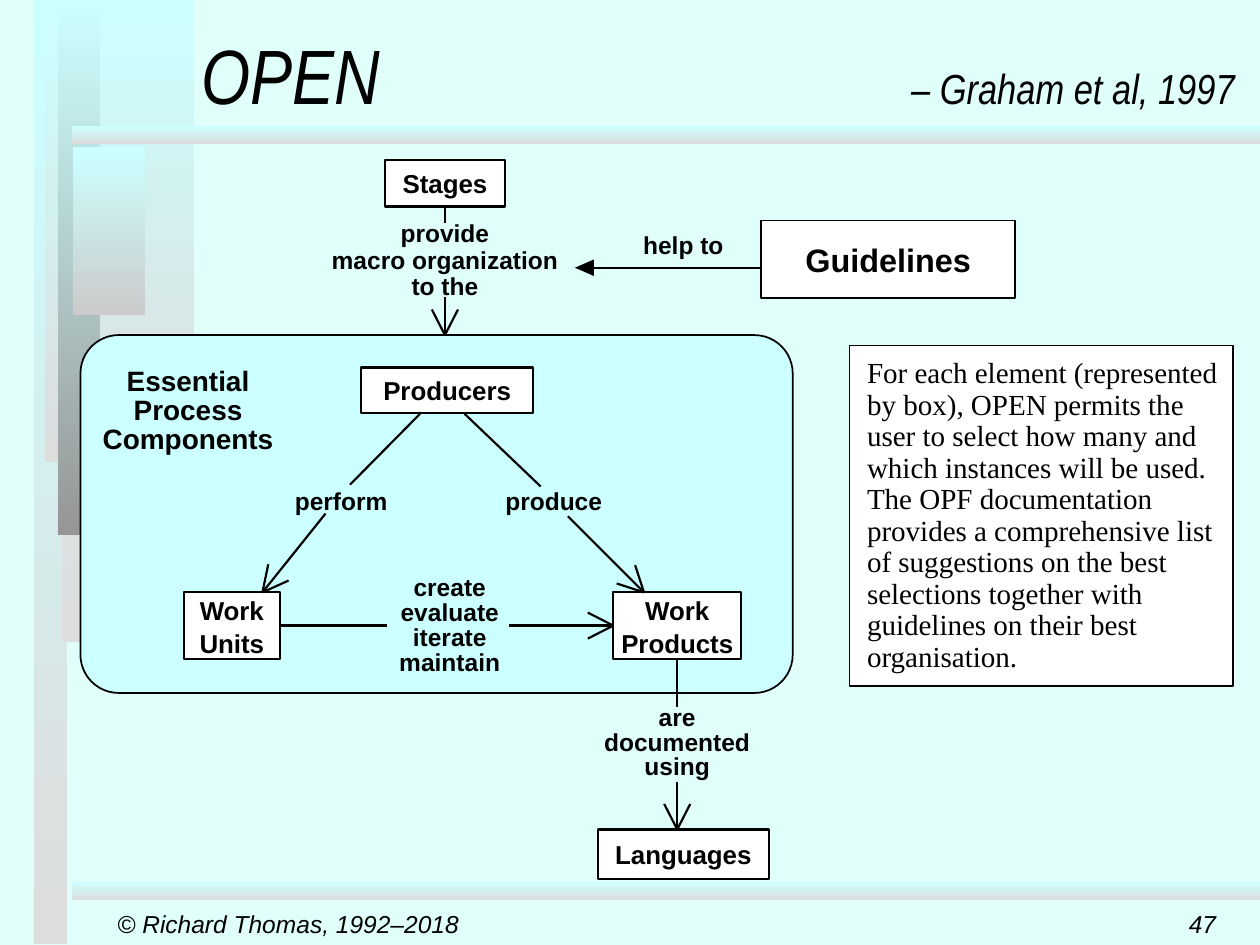
from math import atan2, cos, radians, sin

from lxml.etree import SubElement
from pptx import Presentation
from pptx.dml.color import RGBColor
from pptx.enum.shapes import MSO_CONNECTOR, MSO_SHAPE
from pptx.enum.text import MSO_ANCHOR, MSO_AUTO_SIZE, PP_ALIGN
from pptx.oxml.ns import qn
from pptx.util import Pt

COLORS = {"background": "E1FFFA", "aqua": "CCFFFF", "silver": "DDDDDD",
          "gray": "969696", "steel": "CBCBCB", "white": "FFFFFF", "black": "000000"}
BOX_FONT = {"name": "Arial", "size": Pt(14.8), "bold": True}
LABEL_FONT = {"name": "Arial", "size": Pt(14), "bold": True}
HEADING_FONT = {"name": "Arial", "size": Pt(16), "bold": True}
GUIDELINES_FONT = {"name": "Arial", "size": Pt(18.5), "bold": True}
NOTE_FONT = {"name": "Times New Roman", "size": Pt(16.6), "bold": False}
FOOTER_FONT = {"name": "Arial", "size": Pt(14), "italic": True}
LINE_WIDTH = 1.25
BARB_LENGTH, BARB_ANGLE = 16.4, radians(27)


def color(name):
    """Return the named colour."""
    return RGBColor.from_string(COLORS[name])


def set_font(font, values):
    """Apply a dict of font values in black."""
    for name, value in values.items():
        setattr(font, name, value)
    font.color.rgb = color("black")


def set_frame(frame, margins, anchor):
    """Fix margins (left, top, right, bottom), wrapping and anchor of a text frame."""
    for side, margin in zip(("left", "top", "right", "bottom"), margins):
        setattr(frame, f"margin_{side}", Pt(margin))
    frame.word_wrap = True
    frame.auto_size = MSO_AUTO_SIZE.NONE
    frame.vertical_anchor = anchor


def write(shape, text, font, align=PP_ALIGN.CENTER, spacing=None,
          margins=(0, 0, 0, 0), anchor=MSO_ANCHOR.MIDDLE):
    """Write one paragraph into a shape."""
    frame = shape.text_frame
    set_frame(frame, margins, anchor)
    frame.text = text
    paragraph = frame.paragraphs[0]
    paragraph.alignment = align
    if spacing:
        paragraph.line_spacing = Pt(spacing)
    for run in paragraph.runs:
        set_font(run.font, font)


def add_box(slide, box, fill="white", width=LINE_WIDTH, kind=MSO_SHAPE.RECTANGLE):
    """Add an outlined shape."""
    shape = slide.shapes.add_shape(kind, *map(Pt, box))
    shape.shadow.inherit = False
    shape.fill.solid()
    shape.fill.fore_color.rgb = color(fill)
    shape.line.color.rgb = color("black")
    shape.line.width = Pt(width)
    return shape


def add_named_box(slide, box, text, font=BOX_FONT, width=LINE_WIDTH):
    """Add a white box holding its name."""
    shape = add_box(slide, box, width=width)
    write(shape, text, font, spacing=18.7 if "\v" in text else None)
    return shape


def add_label(slide, center, top, width, text, font=LABEL_FONT, spacing=14.4):
    """Add a centred label whose first line starts at top."""
    offset = font["size"].pt * 1.15 - spacing
    height = spacing * (text.count("\v") + 1)
    label = slide.shapes.add_textbox(Pt(center - width / 2), Pt(top + offset),
                                     Pt(width), Pt(height))
    write(label, text, font, spacing=spacing, anchor=MSO_ANCHOR.TOP)


def add_line(slide, start, end, width=LINE_WIDTH):
    """Add a straight black line."""
    line = slide.shapes.add_connector(MSO_CONNECTOR.STRAIGHT, *map(Pt, (*start, *end)))
    line.line.color.rgb = color("black")
    line.line.width = Pt(width)
    SubElement(line._element.spPr, qn("a:effectLst"))
    return line


def add_arrow(slide, start, end):
    """Add a line ending in a wide open arrowhead."""
    line = add_line(slide, start, end)
    back = atan2(start[1] - end[1], start[0] - end[0])
    for angle in (back - BARB_ANGLE, back + BARB_ANGLE):
        add_line(slide, end, (end[0] + BARB_LENGTH * cos(angle),
                              end[1] + BARB_LENGTH * sin(angle)))
    return line


def add_decoration(slide):
    """Add the gradient bands on the left and the two rules."""
    bands = [((19.5, 0, 19, 539.5), "silver"), ((35.5, 0, 29.5, 367), "silver"),
             ((26, 0, 85, 264), "silver"), ((33, 0, 24, 306), "gray"),
             ((41.5, 84, 41.5, 96), "steel"), ((41, 72, 679, 10.5), "silver"),
             ((41, 504, 679, 10.5), "silver")]
    for box, end in bands:
        band = slide.shapes.add_shape(MSO_SHAPE.RECTANGLE, *map(Pt, box))
        band.shadow.inherit = False
        band.line.fill.background()
        band.fill.gradient()
        band.fill.gradient_angle = 270
        for stop, name in zip(band.fill.gradient_stops, ("aqua", end)):
            stop.color.rgb = color(name)


def add_title(slide, box):
    """Fill the title placeholder, with the source at a tab stop."""
    title = slide.shapes.title
    title.left, title.top, title.width, title.height = map(Pt, box)
    set_frame(title.text_frame, (7.2, 3.6, 7.2, 3.6), MSO_ANCHOR.BOTTOM)
    paragraph = title.text_frame.paragraphs[0]
    paragraph.alignment = PP_ALIGN.LEFT
    tabs = SubElement(paragraph._p.get_or_add_pPr(), qn("a:tabLst"))
    SubElement(tabs, qn("a:tab"), pos=str(Pt(405.4)), algn="l")
    for text, size in (("OPEN\t", 44), ("– Graham et al, 1997", 24)):
        run = paragraph.add_run()
        run.text = text
        set_font(run.font, {"name": "Arial Narrow", "size": Pt(size), "italic": True})


def add_components(slide, box):
    """Add the panel of essential process components and return Work Products."""
    left, top = box[:2]

    def at(x, y):
        """Return a point of the panel in slide coordinates."""
        return left + x, top + y

    panel = add_box(slide, box, "aqua", 1, MSO_SHAPE.ROUNDED_RECTANGLE)
    panel.adjustments[0] = 0.107
    add_named_box(slide, (*at(160.5, 18.5), 98, 26), "Producers")
    units = add_named_box(slide, (*at(59, 147), 55, 38), "Work\vUnits")
    products = add_named_box(slide, (*at(304.5, 147), 73, 38), "Work\vProducts")

    add_line(slide, at(219.5, 45), at(263, 86.5))
    add_arrow(slide, at(278.5, 103.5), at(322, 147))
    add_line(slide, at(194, 45), at(154, 85.5))
    add_arrow(slide, at(140, 102), at(104, 147))
    add_line(slide, at(114, 166), at(175, 166)).begin_connect(units, 3)
    add_arrow(slide, at(245, 166), at(304.5, 166)).end_connect(products, 1)

    add_label(slide, *at(61.5, 17), 100, "Essential\vProcess\vComponents",
              HEADING_FONT, 16.6)
    add_label(slide, *at(149, 87), 56, "perform")
    add_label(slide, *at(270.5, 87), 58, "produce")
    add_label(slide, *at(211, 136), 60, "create\vevaluate\viterate\vmaintain")
    return products


def add_stages(slide, box, target):
    """Add Stages and its arrow down to the height of the target."""
    left, top, width, height = box
    center = left + width / 2
    stages = add_named_box(slide, box, "Stages")
    stem = add_line(slide, (center, top + height), (center, top + 36))
    stem.begin_connect(stages, 2)
    add_arrow(slide, (center, top + 78.5), (center, target))
    add_label(slide, center, top + 34, 134, "provide\vmacro organization\vto the",
              spacing=15.1)


def add_guidelines(slide, box):
    """Add Guidelines and its solid arrow to the left."""
    left, top = box[:2]
    add_named_box(slide, box, "Guidelines", GUIDELINES_FONT, 1)
    middle = top + 27
    tip = left - 106.5
    add_line(slide, (left, middle), (tip + 10, middle), 1)
    builder = slide.shapes.build_freeform(Pt(tip), Pt(middle))
    builder.add_line_segments([(Pt(tip + 10.8), Pt(middle + rise)) for rise in (-4.7, 4.7)])
    head = builder.convert_to_shape()
    head.shadow.inherit = False
    head.fill.solid()
    head.fill.fore_color.rgb = color("black")
    head.line.fill.background()
    add_label(slide, left - 44.5, top + 6, 50, "help to")


def add_languages(slide, box, products):
    """Add Languages and the arrow from Work Products."""
    top = box[1]
    center = (products.left + products.width / 2) / Pt(1)
    add_named_box(slide, box, "Languages")
    add_line(slide, (center, top - 97), (center, top - 70)).begin_connect(products, 2)
    add_arrow(slide, (center, top - 27), (center, top))
    add_label(slide, center, top - 72, 88, "are\vdocumented\vusing", spacing=14)


def add_note(slide, box):
    """Add the explanatory note."""
    text = ("For each element (represented by box), OPEN permits the user to select how "
            "many and which instances will be used. The OPF documentation provides a "
            "comprehensive list of suggestions on the best selections together with "
            "guidelines on their best organisation.")
    write(add_box(slide, box, width=1), text, NOTE_FONT, PP_ALIGN.LEFT, 18,
          (10, 7, 5, 0), MSO_ANCHOR.TOP)


def add_footer(slide, box):
    """Add the copyright line and the page number."""
    for text, align in (("© Richard Thomas, 1992–2018", PP_ALIGN.LEFT), ("47", PP_ALIGN.RIGHT)):
        left, top, width, height = box
        part = width / 3
        if align == PP_ALIGN.RIGHT:
            left += width - part
        footer = slide.shapes.add_textbox(*map(Pt, (left, top, part, height)))
        write(footer, text, FOOTER_FONT, align, margins=(7.2, 3.6, 7.2, 3.6))


def main():
    """Build and save the slide."""
    presentation = Presentation()
    presentation.slide_width, presentation.slide_height = Pt(720), Pt(540)
    slide = presentation.slides.add_slide(presentation.slide_layouts[5])
    slide.background.fill.solid()
    slide.background.fill.fore_color.rgb = color("background")
    add_decoration(slide)
    add_title(slide, (108, 0, 612, 72))
    products = add_components(slide, (46, 191.5, 407, 204.5))
    add_stages(slide, (220, 91.5, 68.5, 26.5), 191.5)
    add_guidelines(slide, (435, 126, 145, 44.5))
    add_languages(slide, (341.5, 474, 98, 28.5), products)
    add_note(slide, (485.5, 197.5, 219, 194.5))
    add_footer(slide, (60, 516, 642, 24))
    presentation.save("out.pptx")


if __name__ == "__main__":
    main()
